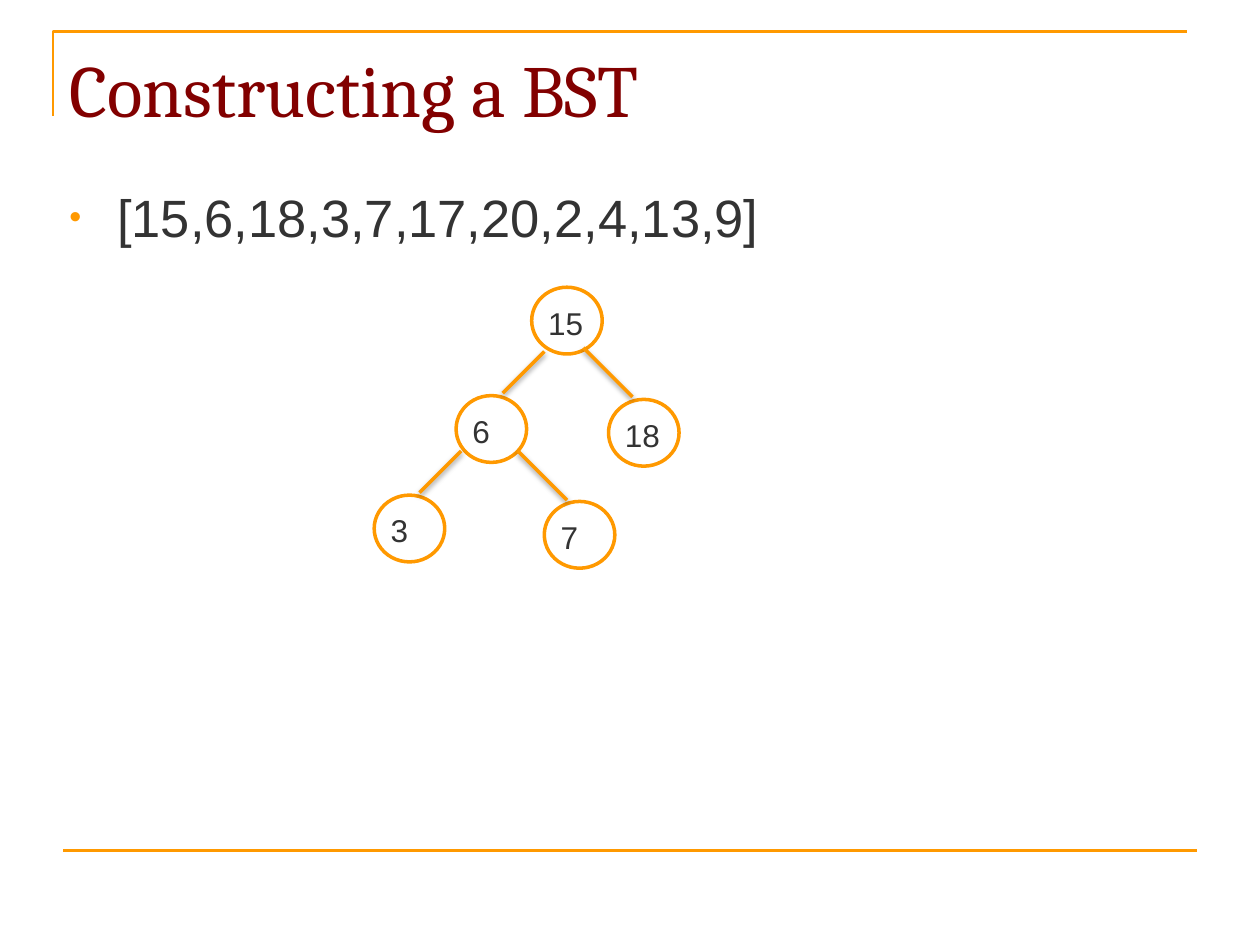
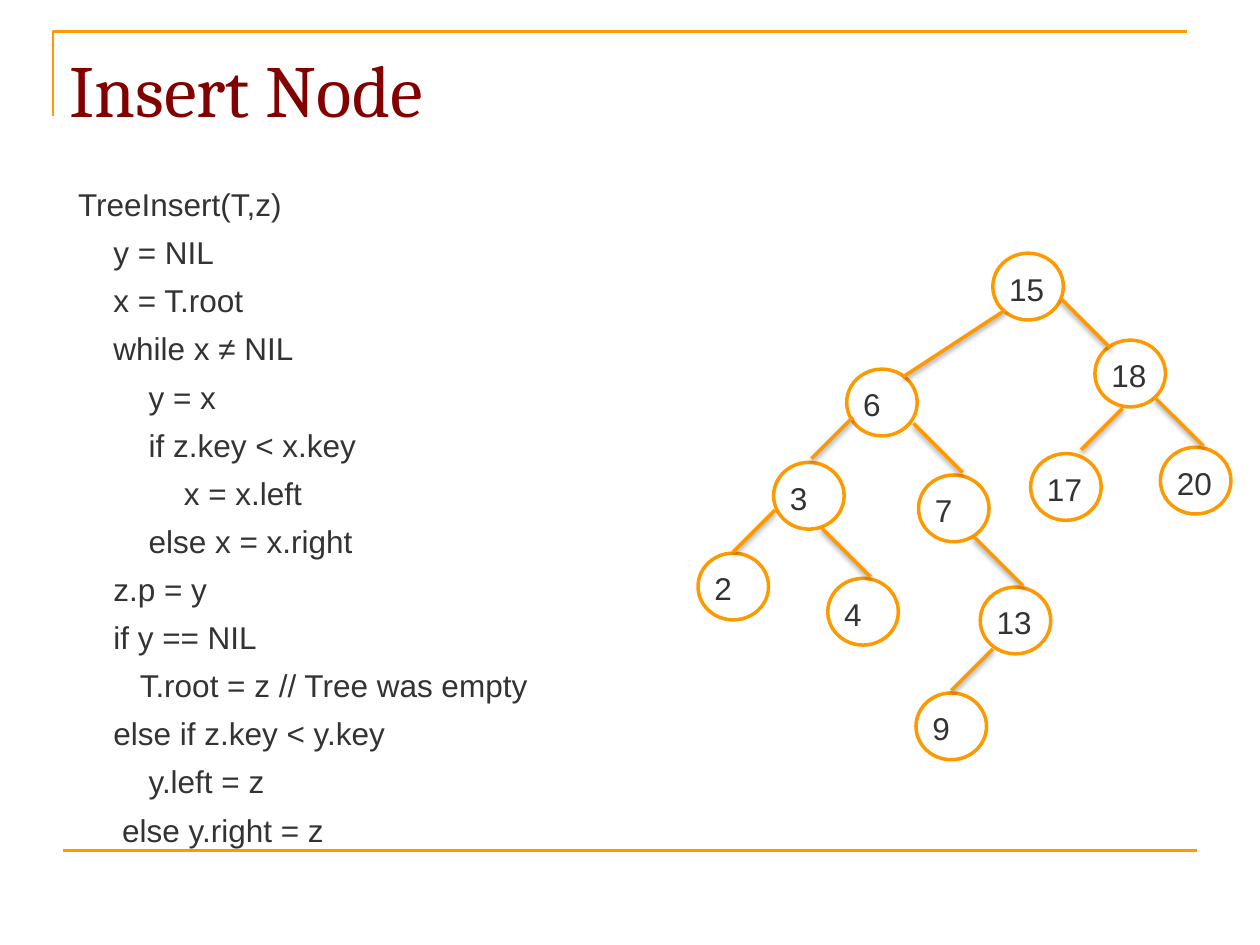
import lxml.etree
import pptx
import pptx.dml.color
import pptx.enum.shapes
import pptx.enum.text
import pptx.oxml
import pptx.oxml.ns
import pptx.util

Inches = pptx.util.Inches
COLOURS = {"title": "820000", "accent": "FF9900", "text": "333333", "paper": "FFFFFF"}
SPACE_WIDTH = 0.07
EDGE_RISES = {"left": (0.33, -0.33), "right": (-0.39, -0.39), "wide left": (0.81, -0.53)}
SHADOW = (
    '<a:effectLst %s><a:outerShdw blurRad="38100" dist="20320" dir="5400000" rotWithShape="0">'
    '<a:srgbClr val="000000"><a:alpha val="38000"/></a:srgbClr></a:outerShdw></a:effectLst>'
)
BULLET = (
    '<a:buClr %s><a:srgbClr val="{accent}"/></a:buClr>',
    '<a:buSzPct %s val="65000"/>',
    '<a:buFont %s typeface="Arial"/>',
    '<a:buChar %s char="\u2022"/>',
)

SHORT_TREE = [
    ("15", 4.22, 2.28, None, None),
    ("6", 3.62, 3.14, "left", (3.99, 3.12)),
    ("18", 4.83, 3.17, "right", (5.02, 3.15)),
    ("3", 2.97, 3.93, "left", (3.33, 3.91)),
    ("7", 4.32, 3.98, "right", (4.5, 3.97)),
]
FULL_TREE = [
    ("15", 7.88, 2.01, None, None),
    ("6", 6.72, 2.93, "wide left", (7.17, 2.99)),
    ("18", 8.69, 2.7, "right", (8.81, 2.76)),
    ("3", 6.14, 3.67, "left", (6.44, 3.64)),
    ("7", 7.29, 3.77, "right", (7.64, 3.75)),
    ("17", 8.18, 3.6, "left", (8.58, 3.57)),
    ("20", 9.21, 3.55, "right", (9.55, 3.54)),
    ("2", 5.54, 4.39, "left", (5.82, 4.38)),
    ("4", 6.57, 4.59, "right", (6.91, 4.58)),
    ("13", 7.78, 4.66, "right", (8.12, 4.65)),
    ("9", 7.27, 5.5, "left", (7.55, 5.48)),
]
INSERT_CODE = [
    (1, "TreeInsert(T,z)"),
    (5, "y = NIL"),
    (5, "x = T.root"),
    (5, "while x \u2260 NIL"),
    (9, "y = x"),
    (9, "if z.key < x.key"),
    (13, "x = x.left"),
    (9, "else x = x.right"),
    (5, "z.p = y"),
    (5, "if y == NIL"),
    (8, "T.root = z // Tree was empty"),
    (5, "else if z.key < y.key"),
    (9, "y.left = z"),
    (6, "else y.right = z"),
]


def colour(name):
    return pptx.dml.color.RGBColor.from_string(COLOURS[name])


def element(markup):
    return pptx.oxml.parse_xml(markup % pptx.oxml.ns.nsdecls("a"))


def write(paragraph, text, size=18, font="Arial", tint="text", before=0, margin=0, indent=0):
    paragraph.alignment = pptx.enum.text.PP_ALIGN.LEFT
    paragraph.space_before = pptx.util.Pt(before)
    properties = paragraph._p.get_or_add_pPr()
    properties.set("marL", str(Inches(margin)))
    properties.set("indent", str(Inches(indent)))
    run = paragraph.add_run()
    run.text = text
    run.font.size = pptx.util.Pt(size)
    run.font.name = font
    run.font.color.rgb = colour(tint)


class TreeDeck:
    """Holds the shared style and draws on the current slide."""

    def __init__(self):
        self.presentation = pptx.Presentation()
        self.presentation.slide_width = Inches(10)
        self.presentation.slide_height = Inches(7.5)
        self.slide = None

    def add_slide(self, title):
        self.slide = self.presentation.slides.add_slide(self.presentation.slide_layouts[5])
        self.frame()
        shape = self.slide.shapes.title
        shape.left, shape.top = Inches(0.5), Inches(0.3)
        shape.width, shape.height = Inches(9), Inches(1.03)
        write(self.prepare(shape).paragraphs[0], title, size=42, font="Cambria", tint="title")

    def prepare(self, shape):
        frame = shape.text_frame
        frame.word_wrap = True
        frame.auto_size = pptx.enum.text.MSO_AUTO_SIZE.NONE
        frame.vertical_anchor = pptx.enum.text.MSO_ANCHOR.TOP
        frame.margin_left = frame.margin_right = Inches(0.05)
        frame.margin_top = frame.margin_bottom = Inches(0.05)
        return frame

    def outline(self, shape, width):
        shape.line.color.rgb = colour("accent")
        shape.line.width = pptx.util.Pt(width)

    def frame(self):
        builder = self.slide.shapes.build_freeform(Inches(0.42), Inches(0.92))
        corner = [(Inches(0.42), Inches(0.25)), (Inches(9.42), Inches(0.25))]
        builder.add_line_segments(corner, close=False)
        bracket = builder.convert_to_shape()
        bracket.shadow.inherit = False
        bracket.fill.background()
        self.outline(bracket, 1.5)
        footer_rule = self.line((0.5, 6.75), (9.5, 6.75), 1.5)
        footer_rule._element.spPr.append(element("<a:effectLst %s/>"))

    def line(self, start, end, width):
        kind = pptx.enum.shapes.MSO_CONNECTOR.STRAIGHT
        points = [Inches(value) for value in (*start, *end)]
        connector = self.slide.shapes.add_connector(kind, *points)
        self.outline(connector, width)
        return connector

    def body(self):
        box = self.slide.shapes.add_textbox(Inches(0.5), Inches(1.42), Inches(9), Inches(5.2))
        return self.prepare(box)

    def bullet(self, text):
        paragraph = self.body().paragraphs[0]
        write(paragraph, text, size=30, before=7, margin=0.38, indent=-0.38)
        for markup in BULLET:
            paragraph._p.get_or_add_pPr().append(element(markup.format(**COLOURS)))

    def code(self, lines):
        frame = self.body()
        for number, (spaces, text) in enumerate(lines):
            paragraph = frame.add_paragraph() if number else frame.paragraphs[0]
            write(paragraph, text, before=5.9, margin=spaces * SPACE_WIDTH)

    def node(self, key, left, top):
        shapes = self.slide.shapes.add_group_shape().shapes
        oval = pptx.enum.shapes.MSO_SHAPE.OVAL
        circle = shapes.add_shape(oval, Inches(left), Inches(top), Inches(0.56), Inches(0.53))
        circle.shadow.inherit = False
        circle.fill.solid()
        circle.fill.fore_color.rgb = colour("paper")
        self.outline(circle, 2)
        label = shapes.add_textbox(
            Inches(left + 0.08), Inches(top + 0.08), Inches(0.4), Inches(0.38)
        )
        write(self.prepare(label).paragraphs[0], key)

    def edge(self, start, side):
        across, up = EDGE_RISES[side]
        connector = self.line(start, (start[0] + across, start[1] + up), 2)
        connector._element.spPr.append(element(SHADOW))

    def tree(self, nodes):
        for key, left, top, side, start in nodes:
            self.node(key, left, top)
            if side:
                self.edge(start, side)


deck = TreeDeck()
deck.add_slide("Constructing a BST")
deck.bullet("[15,6,18,3,7,17,20,2,4,13,9]")
deck.tree(SHORT_TREE)
deck.add_slide("Insert Node")
deck.code(INSERT_CODE)
deck.tree(FULL_TREE)
deck.presentation.save("out.pptx")
